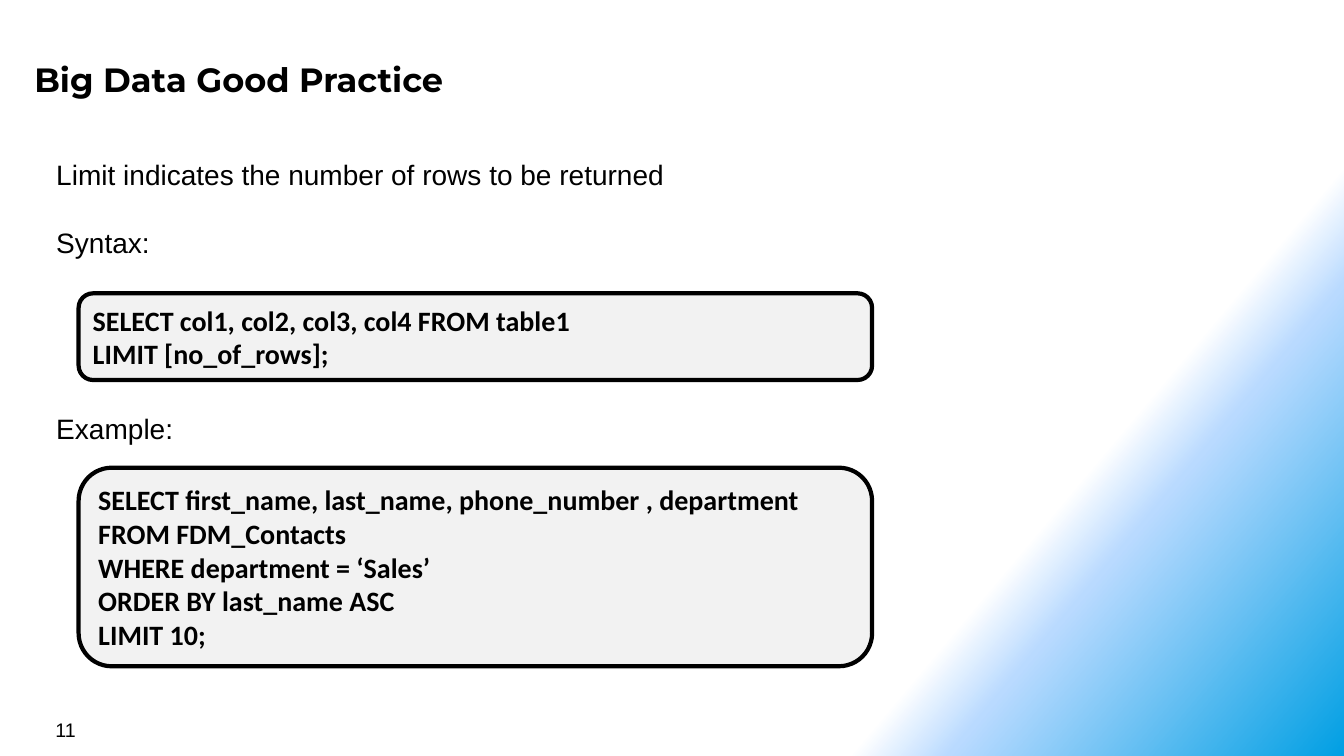
from copy import deepcopy

from pptx import Presentation
from pptx import util as u
from pptx.dml.color import RGBColor
from pptx.enum import shapes, text
from pptx.oxml.ns import qn

BLACK = RGBColor(0x00, 0x00, 0x00)
WHITE = RGBColor(0xFF, 0xFF, 0xFF)
GREY = RGBColor(0xF2, 0xF2, 0xF2)
PALE_BLUE = RGBColor(0xB9, 0xDA, 0xFF)
BLUE = RGBColor(0x00, 0x9F, 0xE3)

prs = Presentation()
prs.slide_width = u.Inches(13.33)
prs.slide_height = u.Inches(7.5)
s = prs.slides.add_slide(prs.slide_layouts[6])


def share(x, y, w, h):
    W, H = prs.slide_width, prs.slide_height
    return [int(v * full / 100) for v, full in ((x, W), (y, H), (w, W), (h, H))]


def write(sp, lines, font, size, bold=False, gaps=(), anchor=text.MSO_ANCHOR.MIDDLE):
    tf = sp.text_frame
    tf.word_wrap = True
    tf.vertical_anchor = anchor
    tf.text = "\n".join(lines)
    for p in tf.paragraphs:
        p.alignment = text.PP_ALIGN.LEFT
        p.font.name = font
        p.font.size = u.Pt(size)
        p.font.bold = bold
        p.font.color.rgb = BLACK
    for p, gap in zip(tf.paragraphs[1:], gaps):
        p.space_before = u.Pt(gap)
    return tf


fill = s.background.fill
fill.gradient()
fill.gradient_angle = 320
stops = s.element.find(".//" + qn("a:gsLst"))
stops.append(deepcopy(stops[0]))
for stop, (position, color) in zip(
    fill.gradient_stops, [(0.75, WHITE), (0.8, PALE_BLUE), (1, BLUE)]
):
    stop.position = position
    stop.color.rgb = color

title = s.shapes.add_textbox(*share(1.95, 6.8, 91.97, 7.33))
tf = write(title, ["Big Data Good Practice"], "Montserrat", 24, True)
tf.margin_left = tf.margin_right = tf.margin_top = tf.margin_bottom = u.Inches(0.08)

number = s.shapes.add_textbox(*share(3.38, 94.27, 23.33, 4.4))
write(number, ["11"], "Arial", 14)

body = s.shapes.add_textbox(*share(3.45, 20.13, 59.04, 39.47))
write(
    body,
    ["Limit indicates the number of rows to be returned", "Syntax:", "Example:"],
    "Arial", 20, gaps=(25, 109), anchor=text.MSO_ANCHOR.TOP,
)

syntax = ["SELECT col1, col2, col3, col4 FROM table1", "LIMIT [no_of_rows];"]
example = [
    "SELECT first_name, last_name, phone_number , department FROM FDM_Contacts",
    "WHERE department = ‘Sales’",
    "ORDER BY last_name ASC",
    "LIMIT 10;",
]
for top, height, code in [(38.8, 11.47, syntax), (61.87, 26.27, example)]:
    sp = s.shapes.add_shape(
        shapes.MSO_SHAPE.ROUNDED_RECTANGLE, *share(5.85, top, 59.04, height)
    )
    sp.shadow.inherit = False
    sp.fill.solid()
    sp.fill.fore_color.rgb = GREY
    sp.line.color.rgb = BLACK
    sp.line.width = u.Pt(3)
    write(sp, code, "Calibri", 20, True)

prs.save("out.pptx")
